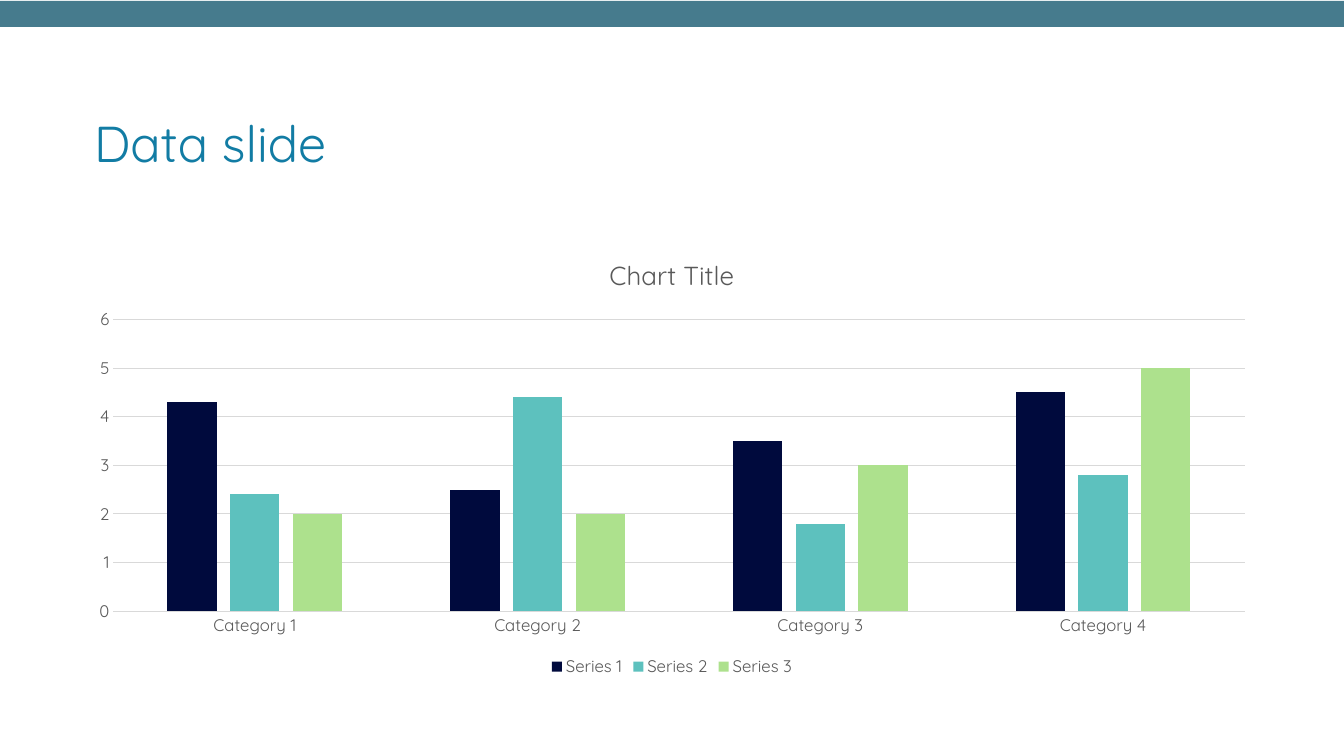
from pptx import Presentation
from pptx.chart.data import CategoryChartData
from pptx.dml.color import RGBColor
from pptx.enum.chart import XL_CHART_TYPE, XL_LEGEND_POSITION, XL_TICK_MARK
from pptx.enum.shapes import MSO_SHAPE
from pptx.enum.text import MSO_ANCHOR, MSO_AUTO_SIZE, PP_ALIGN
from pptx.util import Inches, Pt

COLOURS = {
    "title": "127CA4",
    "band": "467B8D",
    "label": "595959",
    "grid": "D9D9D9",
    "Series 1": "000A3D",
    "Series 2": "5DC1BE",
    "Series 3": "ADE18D",
}
CATEGORIES = ["Category 1", "Category 2", "Category 3", "Category 4"]
SERIES = {
    "Series 1": (4.3, 2.5, 3.5, 4.5),
    "Series 2": (2.4, 4.4, 1.8, 2.8),
    "Series 3": (2, 2, 3, 5),
}
COLUMNS, ROWS = 160, 90


def colour(name):
    return RGBColor.from_string(COLOURS[name])


def style_font(font, size, ink, face):
    font.name, font.size, font.bold = face, Pt(size), False
    font.color.rgb = colour(ink)


def write(frame, text, *, size, ink, face, align=None, line_spacing=None):
    frame.text = text
    paragraph = frame.paragraphs[0]
    paragraph.alignment = align
    paragraph.line_spacing = line_spacing
    style_font(paragraph.runs[0].font, size, ink, face)


class SlideBuilder:
    """Places elements on a slide grid of COLUMNS by ROWS."""

    face = "Quicksand"

    def __init__(self, deck):
        self.deck = deck
        self.slide = deck.slides.add_slide(deck.slide_layouts[5])

    def box(self, column, row, columns, rows):
        across = self.deck.slide_width / COLUMNS
        down = self.deck.slide_height / ROWS
        return [round(length) for length in
                (column * across, row * down, columns * across, rows * down)]

    def title(self, text, *cells):
        heading = self.slide.shapes.title
        heading.left, heading.top, heading.width, heading.height = self.box(*cells)
        frame = heading.text_frame
        frame.word_wrap = True
        frame.auto_size = MSO_AUTO_SIZE.NONE
        frame.vertical_anchor = MSO_ANCHOR.MIDDLE
        write(frame, text, size=36, ink="title", face=self.face,
              align=PP_ALIGN.LEFT, line_spacing=0.9)

    def band(self, *cells):
        strip = self.slide.shapes.add_shape(MSO_SHAPE.RECTANGLE, *self.box(*cells))
        strip.shadow.inherit = False
        strip.fill.solid()
        strip.fill.fore_color.rgb = colour("band")
        strip.line.fill.background()

    def rule(self, line):
        line.color.rgb = colour("grid")
        line.width = Pt(0.75)

    def column_chart(self, heading, *cells):
        data = CategoryChartData()
        data.categories = CATEGORIES
        for name, values in SERIES.items():
            data.add_series(name, values)
        chart = self.slide.shapes.add_chart(
            XL_CHART_TYPE.COLUMN_CLUSTERED, *self.box(*cells), data).chart
        style_font(chart.font, 12, "label", self.face)
        chart.has_title = True
        write(chart.chart_title.text_frame, heading, size=18.6, ink="label",
              face=self.face)
        chart.chart_title.include_in_layout = False

        chart.has_legend = True
        chart.legend.position = XL_LEGEND_POSITION.BOTTOM
        chart.legend.include_in_layout = False
        style_font(chart.legend.font, 12, "label", self.face)

        for axis in (chart.category_axis, chart.value_axis):
            axis.major_tick_mark = axis.minor_tick_mark = XL_TICK_MARK.NONE
            style_font(axis.tick_labels.font, 12, "label", self.face)
        self.rule(chart.category_axis.format.line)
        values_axis = chart.value_axis
        values_axis.format.line.fill.background()
        values_axis.has_major_gridlines = True
        self.rule(values_axis.major_gridlines.format.line)
        values_axis.minimum_scale, values_axis.maximum_scale = 0, 6
        values_axis.major_unit = 1

        plot = chart.plots[0]
        plot.gap_width, plot.overlap = 219, -27
        plot.vary_by_categories = False
        for series in plot.series:
            series.invert_if_negative = False
            series.format.fill.solid()
            series.format.fill.fore_color.rgb = colour(series.name)


def main():
    deck = Presentation()
    deck.slide_width, deck.slide_height = Inches(13.33), Inches(7.5)
    builder = SlideBuilder(deck)
    builder.title("Data slide", 10, 8.9, 121.3, 16.9)
    builder.band(0, 0.1, COLUMNS, 3.1)
    builder.column_chart("Chart Title", 9, 28.3, 142, 52.8)
    deck.save("out.pptx")


if __name__ == "__main__":
    main()
